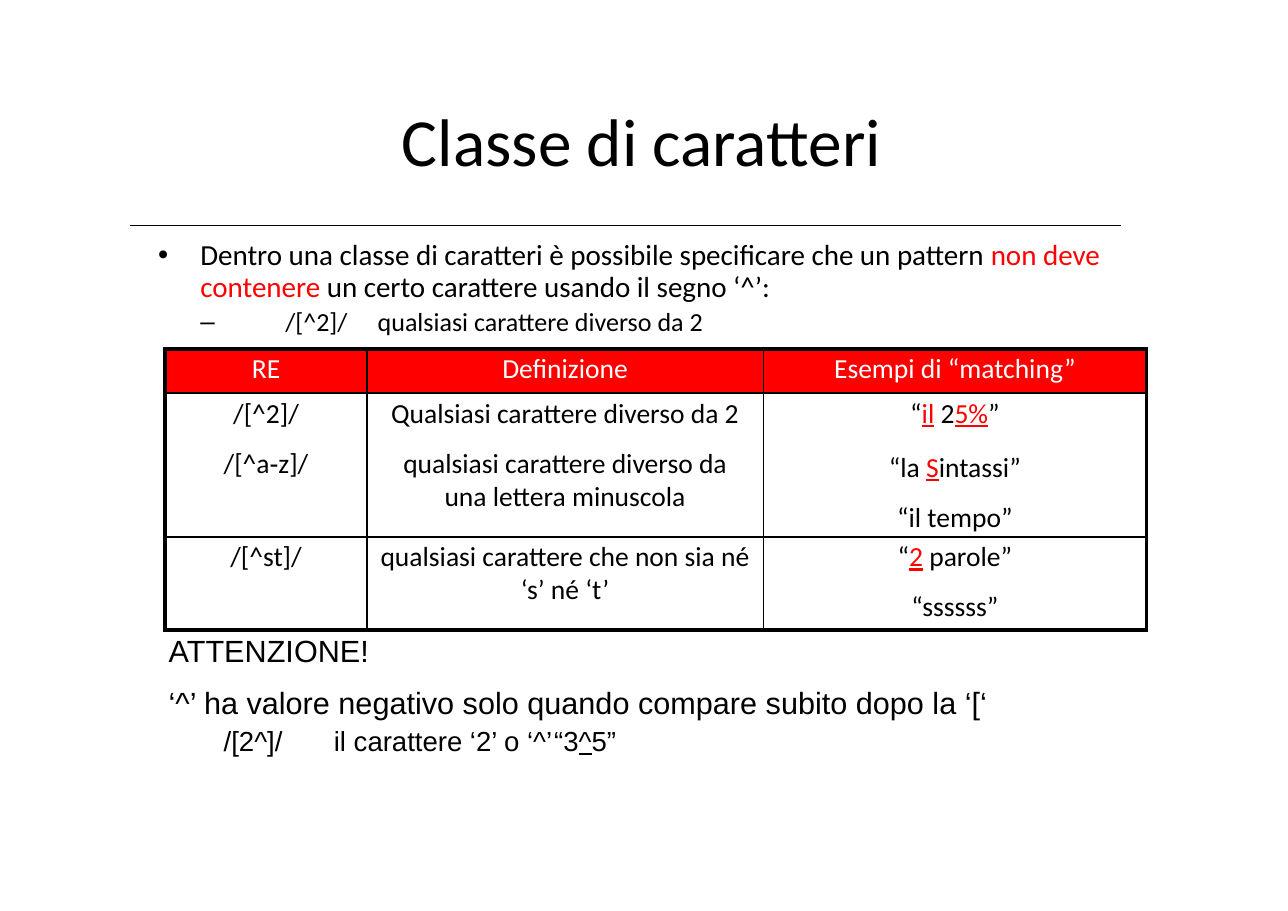
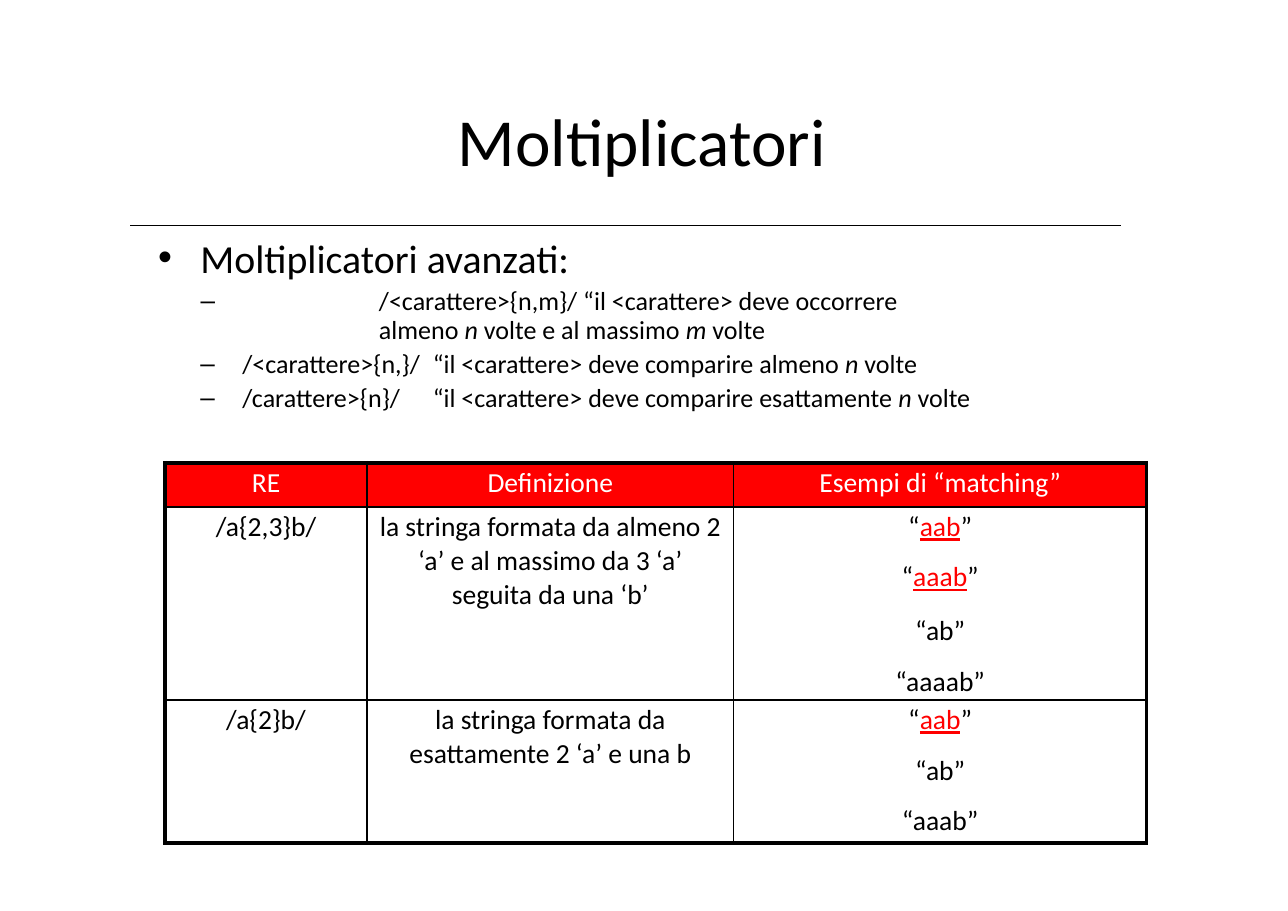
"""Two Italian slides on regular expressions: negated character classes and multipliers."""
from lxml.etree import SubElement
from pptx import Presentation
from pptx.dml.color import RGBColor
from pptx.enum.shapes import MSO_CONNECTOR
from pptx.enum.text import MSO_ANCHOR, MSO_AUTO_SIZE, PP_ALIGN
from pptx.oxml.ns import qn
from pptx.util import Cm, Pt

BLACK = RGBColor(0x00, 0x00, 0x00)
WHITE = RGBColor(0xFF, 0xFF, 0xFF)
RED = RGBColor(0xFF, 0x00, 0x00)

TABLE_LEFT = 3.81
HEADINGS = ["RE", "Definizione", "Esempi di “matching”"]
HORIZONTAL_RULES = [3, 1.5, 1.5, 3]
MATCH_GAP, MISMATCH_GAP = 10.8, 13.3


def write(paragraph, runs, size, font="Calibri", colour=BLACK, before=0, line=None,
          left=0, hang=0, bullet=None, tabs=()):
    """Format a paragraph and add its runs, given as text or (text, style)."""
    properties = paragraph._p.get_or_add_pPr()
    properties.set("marL", str(Cm(left)))
    properties.set("indent", str(Cm(-hang)))
    if bullet:
        SubElement(properties, qn("a:buFont"), typeface="Arial")
        SubElement(properties, qn("a:buChar"), char=bullet)
    if tabs:
        stops = SubElement(properties, qn("a:tabLst"))
        for stop in tabs:
            SubElement(stops, qn("a:tab"), pos=str(Cm(stop)), algn="l")
    paragraph.space_before = Pt(before)
    if line:
        paragraph.line_spacing = Pt(line)
    paragraph.font.size = Pt(size)
    for item in runs:
        text, style = (item, "") if isinstance(item, str) else item
        if text == "\n":
            paragraph.add_line_break()
            continue
        run = paragraph.add_run()
        run.text = text
        run.font.name = font
        run.font.size = Pt(size)
        run.font.color.rgb = RED if style in ("red", "match") else colour
        if style in ("match", "underline"):
            run.font.underline = True
        if style == "italic":
            run.font.italic = True


def write_frame(frame, paragraphs, top=0, side=0):
    """Set the margins of a text frame and fill it with paragraphs."""
    frame.word_wrap = True
    frame.auto_size = MSO_AUTO_SIZE.NONE
    frame.vertical_anchor = MSO_ANCHOR.TOP
    frame.margin_left = frame.margin_right = Cm(side)
    frame.margin_top, frame.margin_bottom = Cm(top), 0
    for index, options in enumerate(paragraphs):
        write(frame.paragraphs[0] if index == 0 else frame.add_paragraph(), **options)


multiplier = dict(size=17, before=2.1, left=1.96, hang=0.97, bullet="–", tabs=[4.72])

pages = [
    dict(
        title="Classe di caratteri",
        boxes=[
            dict(place=(3.63, 5.41, 21.95, 2.4), top=0.13, paragraphs=[
                dict(runs=["Dentro una classe di caratteri è possibile specificare che un pattern ",
                           ("non deve contenere", "red"),
                           " un certo carattere usando il segno ‘^’:"],
                     size=19, line=20.5, left=0.99, hang=0.97, bullet="•"),
                dict(runs=["/[^2]/\tqualsiasi carattere diverso da 2"],
                     size=17, before=1.8, left=2.95, hang=1.96, bullet="–", tabs=[3.15]),
            ]),
            dict(place=(3.86, 14.17, 18.95, 3.28), top=0.4, paragraphs=[
                dict(runs=["ATTENZIONE!"], size=20, font="Arial", left=0.03),
                dict(runs=["‘^’ ha valore negativo solo quando compare subito dopo la ‘[‘"],
                     size=20, font="Arial", before=9.6, left=0.03),
                dict(runs=["/[2^]/\til carattere ‘2’ o ‘^’\t“3", ("^", "underline"), "5”"],
                     size=18, font="Arial", before=2.2, left=1.3, tabs=[5.11, 12.73]),
            ]),
        ],
        table_top=8.05,
        columns=[4.65, 9.14, 8.84],
        heights=[1.02, 3.3, 2.16],
        vertical_rules=[3, 1, 1, 2.25],
        rows=[
            [[(["/[^2]/"], 0), (["/[^a‐z]/"], MATCH_GAP)],
             [(["Qualsiasi carattere diverso da 2"], 0),
              (["qualsiasi carattere diverso da", "\n", "una lettera minuscola"], MATCH_GAP)],
             [(["“", ("il", "match"), " 2", ("5%", "match"), "”"], 0),
              (["“la ", ("S", "match"), "intassi”"], MISMATCH_GAP),
              (["“il tempo”"], MATCH_GAP)]],
            [[(["/[^st]/"], 0)],
             [(["qualsiasi carattere che non sia né", "\n", "‘s’ né ‘t’"], 0)],
             [(["“", ("2", "match"), " parole”"], 0), (["“ssssss”"], MATCH_GAP)]],
        ],
    ),
    dict(
        title="Moltiplicatori",
        boxes=[
            dict(place=(3.63, 5.23, 20, 4.35), top=0.15, paragraphs=[
                dict(runs=["Moltiplicatori avanzati:"],
                     size=26, left=0.99, hang=0.97, bullet="•"),
                dict(runs=["/<carattere>{n,m}/ “il <carattere> deve occorrere", "\n", "almeno ",
                           ("n", "italic"), " volte e al massimo ", ("m", "italic"), " volte"],
                     size=17, before=4.5, line=18.4, left=5.11, hang=4.11, bullet="–"),
                dict(runs=["/<carattere>{n,}/\t“il <carattere> deve comparire almeno ",
                           ("n", "italic"), " volte"], **multiplier),
                dict(runs=["/carattere>{n}/\t“il <carattere> deve comparire esattamente ",
                           ("n", "italic"), " volte"], **multiplier),
            ]),
        ],
        table_top=10.67,
        columns=[4.65, 8.46, 9.52],
        heights=[1.02, 4.45, 3.3],
        vertical_rules=[3, 1.5, 1, 2.25],
        rows=[
            [[(["/a{2,3}b/"], 0)],
             [(["la stringa formata da almeno 2", "\n", "‘a’ e al massimo da 3 ‘a’", "\n",
                "seguita da una ‘b’"], 0)],
             [(["“", ("aab", "match"), "”"], 0), (["“", ("aaab", "match"), "”"], MATCH_GAP),
              (["“ab”"], MISMATCH_GAP), (["“aaaab”"], MATCH_GAP)]],
            [[(["/a{2}b/"], 0)],
             [(["la stringa formata da", "\n", "esattamente 2 ‘a’ e una b"], 0)],
             [(["“", ("aab", "match"), "”"], 0), (["“ab”"], MATCH_GAP),
              (["“aaab”"], MATCH_GAP)]],
        ],
    ),
]

deck = Presentation()
deck.slide_width, deck.slide_height = Cm(29.7), Cm(21)
title_only = deck.slide_layouts[5]

for page in pages:
    slide = deck.slides.add_slide(title_only)

    title = slide.shapes.title
    title.left, title.top, title.width, title.height = Cm(3), Cm(2.26), Cm(23.6), Cm(1.93)
    write_frame(title.text_frame, [dict(runs=[page["title"]], size=44)], top=0.03)
    title.text_frame.paragraphs[0].alignment = PP_ALIGN.CENTER

    rule = slide.shapes.add_connector(MSO_CONNECTOR.STRAIGHT, Cm(3), Cm(5.2), Cm(25.86), Cm(5.2))
    rule.line.color.rgb = BLACK
    rule.line.width = Pt(0.5)
    SubElement(rule._element.spPr, qn("a:effectLst"))

    for box in page["boxes"]:
        body = slide.shapes.add_textbox(*[Cm(length) for length in box["place"]])
        write_frame(body.text_frame, box["paragraphs"], top=box["top"])

    columns, heights = page["columns"], page["heights"]
    table = slide.shapes.add_table(len(heights), len(columns), Cm(TABLE_LEFT), Cm(page["table_top"]),
                                   Cm(sum(columns)), Cm(sum(heights))).table
    table.first_row = True
    table.horz_banding = False
    for column, width in zip(table.columns, columns):
        column.width = Cm(width)
    for row, height in zip(table.rows, heights):
        row.height = Cm(height)

    header = [[([heading], 0)] for heading in HEADINGS]
    for r, row in enumerate([header] + page["rows"]):
        for c, content in enumerate(row):
            cell = table.cell(r, c)
            cell.margin_left = cell.margin_right = cell.margin_bottom = 0
            cell.margin_top = Cm(0.08)
            edges = {"a:lnL": page["vertical_rules"][c], "a:lnR": page["vertical_rules"][c + 1],
                     "a:lnT": HORIZONTAL_RULES[r], "a:lnB": HORIZONTAL_RULES[r + 1]}
            for edge, points in edges.items():
                border = SubElement(cell._tc.get_or_add_tcPr(), qn(edge), w=str(Pt(points)))
                ink = SubElement(border, qn("a:solidFill"))
                SubElement(ink, qn("a:srgbClr"), val=str(BLACK))
            if r == 0:
                cell.fill.solid()
                cell.fill.fore_color.rgb = RED
            else:
                cell.fill.background()
            for index, (runs, before) in enumerate(content):
                frame = cell.text_frame
                paragraph = frame.paragraphs[0] if index == 0 else frame.add_paragraph()
                write(paragraph, runs, 18, colour=WHITE if r == 0 else BLACK, before=before)
                paragraph.alignment = PP_ALIGN.CENTER

deck.save("out.pptx")
